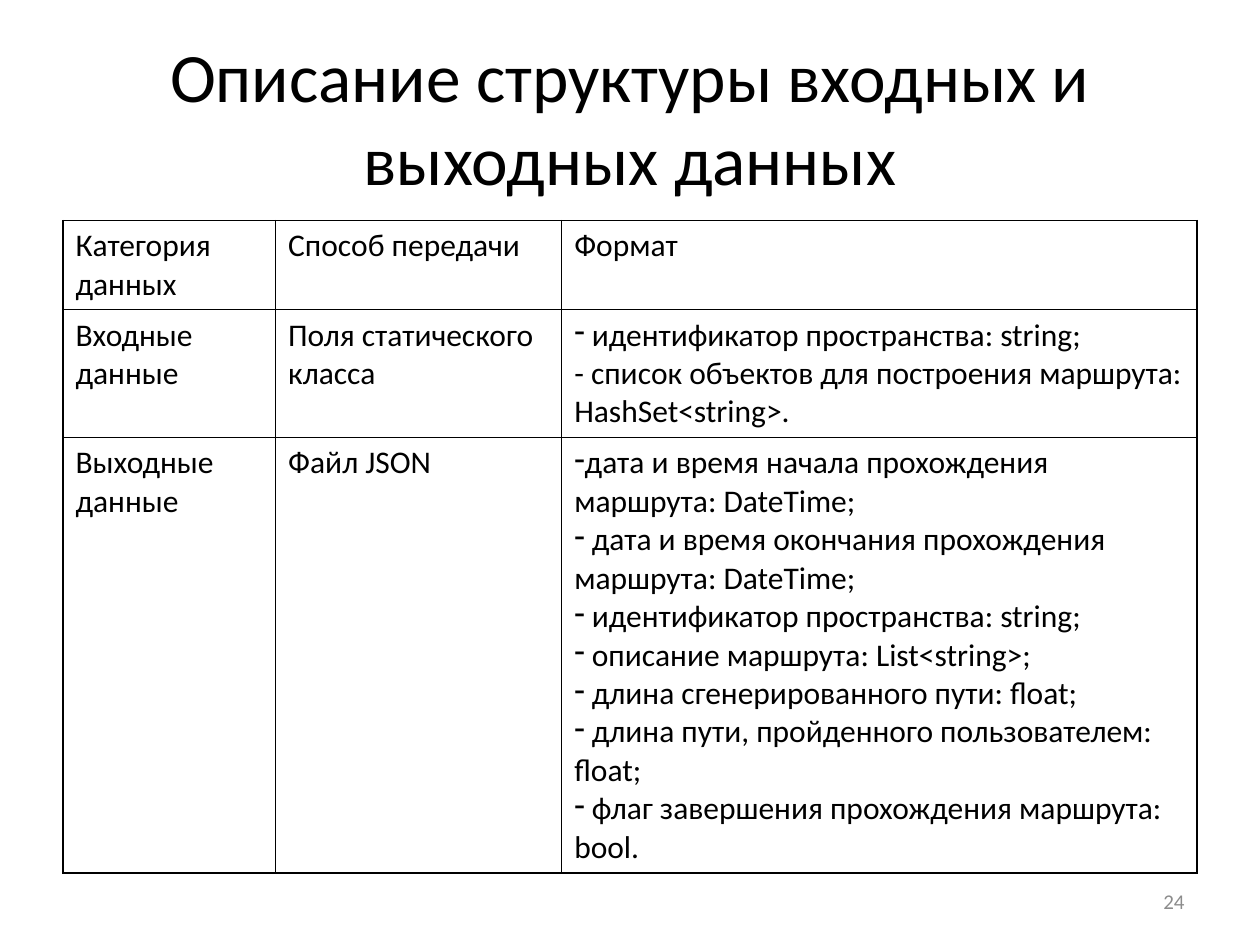
from lxml.etree import SubElement
from pptx import Presentation
from pptx.dml.color import RGBColor
from pptx.enum.text import MSO_ANCHOR as Anchor, PP_ALIGN as Align
from pptx.oxml.ns import qn
from pptx.util import Pt

FONT = "Calibri"
BLACK, GREY = "000000", "8C8C8C"
BULLET = "-"

COLUMN_WIDTHS = [121.5, 163.5, 363]
ROW_HEIGHTS = [51, 73, 249]

# Each cell is a list of paragraphs; a (BULLET, text) pair is a bulleted one
ROWS = [
    [["Категория данных"], ["Способ передачи"], ["Формат"]],
    [["Входные данные"], ["Поля статического класса"], [
        (BULLET, " идентификатор пространства: string;"),
        "- список объектов для построения маршрута: HashSet<string>.",
    ]],
    [["Выходные данные"], ["Файл JSON"], [
        (BULLET, "дата и время начала прохождения маршрута: DateTime;"),
        (BULLET, " дата и время окончания прохождения маршрута: DateTime;"),
        (BULLET, " идентификатор пространства: string;"),
        (BULLET, " описание маршрута: List<string>;"),
        (BULLET, " длина сгенерированного пути: float;"),
        (BULLET, " длина пути, пройденного пользователем: float;"),
        (BULLET, " флаг завершения прохождения маршрута: bool."),
    ]],
]


def color(value):
    return RGBColor.from_string(value)


def add_run(paragraph, text, size, font_color=BLACK):
    run = paragraph.add_run()
    run.text = text
    run.font.name = FONT
    run.font.size = Pt(size)
    run.font.color.rgb = color(font_color)


def add_text(slide, box, text, size, align, font_color=BLACK):
    shape = slide.shapes.add_textbox(*map(Pt, box))
    frame = shape.text_frame
    frame.word_wrap = True
    frame.vertical_anchor = Anchor.MIDDLE
    paragraph = frame.paragraphs[0]
    paragraph.alignment = align
    add_run(paragraph, text, size, font_color)


def set_bullet(paragraph, character):
    properties = paragraph._p.get_or_add_pPr()
    properties.set("marL", "0")
    properties.set("indent", "0")
    SubElement(properties, qn("a:buFontTx"))
    SubElement(properties, qn("a:buChar"), char=character)


def set_borders(cell, line_color, width):
    properties = cell._tc.get_or_add_tcPr()
    for index, side in enumerate(("lnL", "lnR", "lnT", "lnB")):
        line = SubElement(properties, qn(f"a:{side}"), w=str(Pt(width)))
        fill = SubElement(line, qn("a:solidFill"))
        SubElement(fill, qn("a:srgbClr"), val=line_color)
        # Borders must precede the cell fill
        properties.insert(index, line)


def fill_cell(cell, items):
    cell.fill.background()
    set_borders(cell, BLACK, 1)
    frame = cell.text_frame
    for index, item in enumerate(items):
        paragraph = frame.add_paragraph() if index else frame.paragraphs[0]
        if isinstance(item, tuple):
            bullet, text = item
            set_bullet(paragraph, bullet)
        else:
            text = item
        add_run(paragraph, text, 18)


def add_data_table(slide, left, top):
    table = slide.shapes.add_table(
        len(ROWS), len(COLUMN_WIDTHS), Pt(left), Pt(top),
        Pt(sum(COLUMN_WIDTHS)), Pt(sum(ROW_HEIGHTS))).table
    table.first_row = False
    table.horz_banding = False
    for column, width in zip(table.columns, COLUMN_WIDTHS):
        column.width = Pt(width)
    for row, height, contents in zip(table.rows, ROW_HEIGHTS, ROWS):
        row.height = Pt(height)
        for cell, items in zip(row.cells, contents):
            fill_cell(cell, items)


def main():
    presentation = Presentation()
    presentation.slide_width, presentation.slide_height = Pt(720), Pt(540)
    slide = presentation.slides.add_slide(presentation.slide_layouts[6])

    # Title
    add_text(slide, (36, 21.6, 648, 90),
             "Описание структуры входных и выходных данных", 39.6, Align.CENTER)
    # Input and output data
    add_data_table(slide, 36, 126)
    # Page number
    add_text(slide, (516, 500.5, 168, 28.75), "24", 12, Align.RIGHT, GREY)

    presentation.save("out.pptx")


if __name__ == "__main__":
    main()
